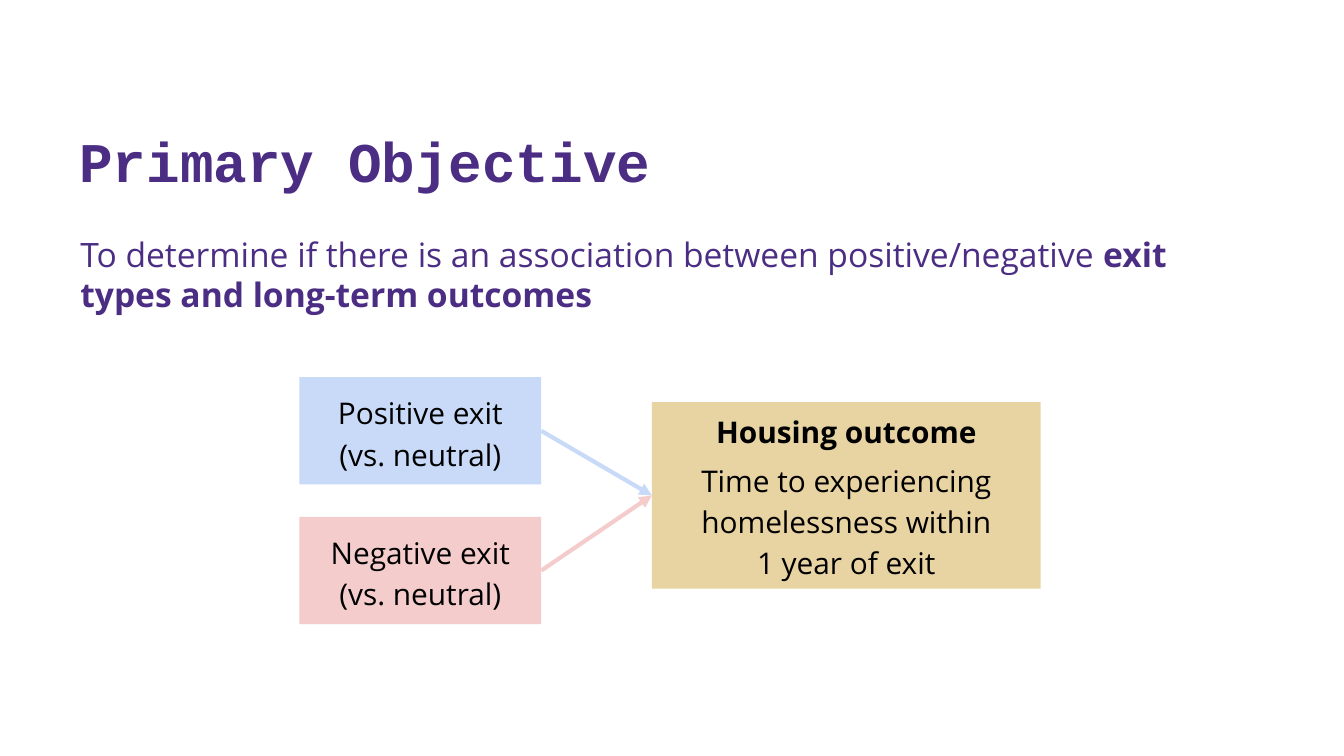
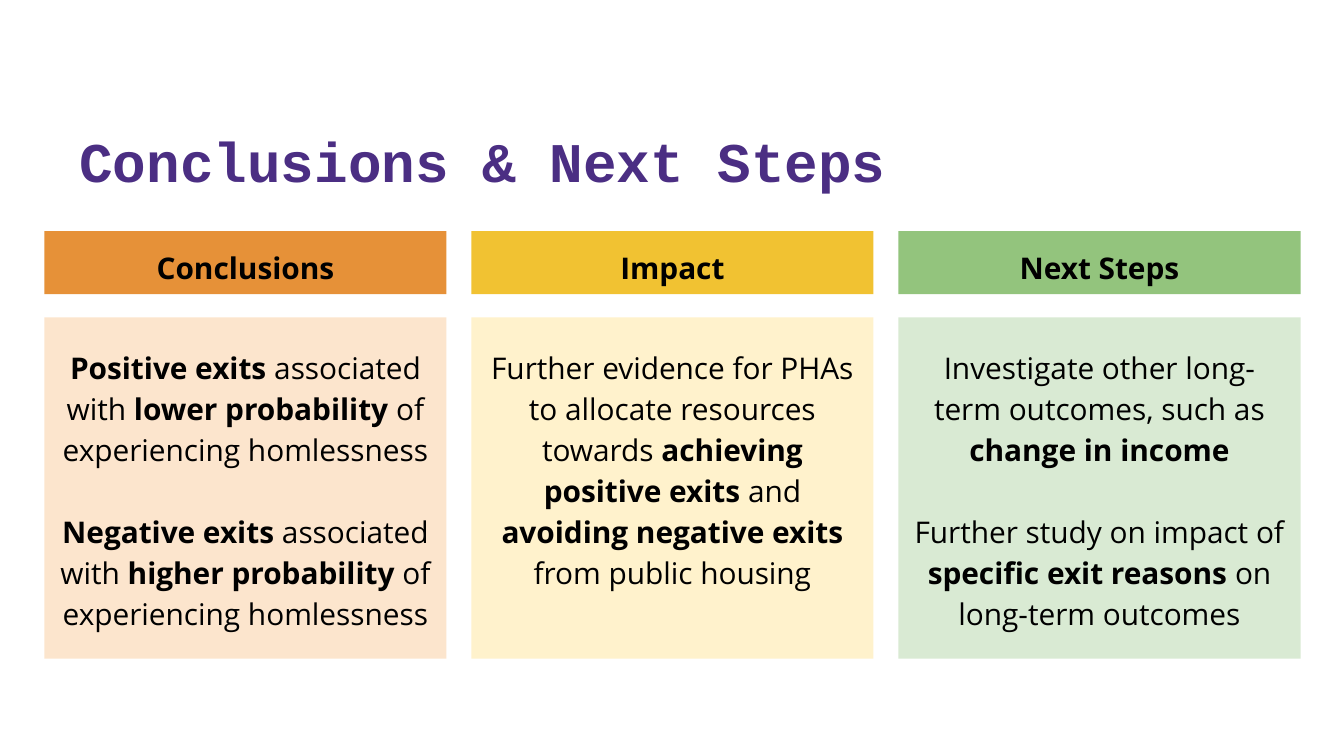
from lxml.etree import SubElement
from pptx import Presentation
from pptx.dml.color import RGBColor as RGB
from pptx.enum.shapes import MSO_CONNECTOR as LINK, MSO_SHAPE as SHAPE
from pptx.enum.text import MSO_ANCHOR as ANCHOR, PP_ALIGN as ALIGN
from pptx.oxml.ns import qn
from pptx.util import Cm, Pt

PURPLE = RGB(0x4B, 0x2E, 0x83)
BLACK = RGB(0x00, 0x00, 0x00)
GOLD = RGB(0xE8, 0xD3, 0xA2)
BLUE = RGB(0xC9, 0xDA, 0xF8)
PINK = RGB(0xF4, 0xCC, 0xCC)
ORANGE = RGB(0xE6, 0x91, 0x38)
PEACH = RGB(0xFC, 0xE5, 0xCD)
YELLOW = RGB(0xF1, 0xC2, 0x32)
CREAM = RGB(0xFF, 0xF2, 0xCC)
GREEN = RGB(0x93, 0xC4, 0x7D)
MINT = RGB(0xD9, 0xEA, 0xD3)
HEAD, BODY = "Courier New", "Open Sans"


def write(shape, lines, size=16, color=BLACK, face=BODY, gap=0):
    """Fill a shape with paragraphs; text between asterisks is bold."""
    frame = shape.text_frame
    frame.word_wrap = True
    for n, line in enumerate(lines):
        para = frame.add_paragraph() if n else frame.paragraphs[0]
        if n:
            para.space_before = Pt(gap)
        for i, part in enumerate(line.split("*")):
            for j, piece in enumerate(part.split("\n")):
                if j:
                    para.add_line_break()
                    mark = para._p.findall(qn("a:br"))[-1]
                    SubElement(mark, qn("a:rPr"), sz=str(size * 100))
                if piece:
                    run = para.add_run()
                    run.text = piece
                    font = run.font
                    font.name, font.size, font.bold = face, Pt(size), i % 2 == 1
                    font.color.rgb = color


def block(slide, x, y, w, h, fill, lines, anchor=ANCHOR.TOP, gap=0):
    """Add a filled rectangle with centred text."""
    rect = slide.shapes.add_shape(SHAPE.RECTANGLE, Cm(x), Cm(y), Cm(w), Cm(h))
    rect.shadow.inherit = False
    rect.fill.solid()
    rect.fill.fore_color.rgb = fill
    rect.line.fill.background()
    rect.text_frame.vertical_anchor = anchor
    write(rect, lines, gap=gap)
    for para in rect.text_frame.paragraphs:
        para.alignment = ALIGN.CENTER
        para.line_spacing = 1.15
    return rect


deck = Presentation()
deck.slide_width, deck.slide_height = Cm(25.4), Cm(14.29)

# Slides and their titles
slides = []
for name in ("Primary Objective", "Conclusions & Next Steps"):
    slide = deck.slides.add_slide(deck.slide_layouts[6])
    title = slide.shapes.add_textbox(Cm(1.25), Cm(1.02), Cm(22.76), Cm(2.77))
    title.text_frame.vertical_anchor = ANCHOR.BOTTOM
    write(title, [f"*{name}*"], 30, PURPLE, HEAD)
    slides.append(slide)
aim, end = slides

# Objective statement
goal = aim.shapes.add_textbox(Cm(1.27), Cm(4.29), Cm(22.76), Cm(2.03))
write(goal, ["To determine if there is an association between positive/negative "
             "*exit types and long-term outcomes*"], 18, PURPLE)

# Exit types leading to the housing outcome
house = block(aim, 12.32, 7.6, 7.35, 3.53, GOLD,
              ["*Housing outcome*",
               "Time to experiencing homelessness within\n1 year of exit"], gap=4)
for n, (kind, fill) in enumerate((("Positive", BLUE), ("Negative", PINK))):
    box = block(aim, 5.66, 7.13 + n * 2.64, 4.57, 2.03, fill,
                [f"{kind} exit (vs. neutral)"], ANCHOR.MIDDLE)
    arrow = aim.shapes.add_connector(LINK.STRAIGHT, 0, 0, 0, 0)
    arrow.begin_connect(box, 3)
    arrow.end_connect(house, 1)
    arrow.line.color.rgb = fill
    arrow.line.width = Pt(2.25)
    SubElement(arrow.line._get_or_add_ln(), qn("a:tailEnd"), type="triangle")
    SubElement(arrow._element.spPr, qn("a:effectLst"))

# Three columns: header and card
cols = [
    ("Conclusions", ORANGE, PEACH,
     ["*Positive exits *associated with *lower probability* of experiencing homlessness",
      "*Negative exits *associated with *higher probability* of experiencing homlessness"]),
    ("Impact", YELLOW, CREAM,
     ["Further evidence for PHAs to allocate resources towards "
      "*achieving positive exits *and* avoiding negative exits *from public housing"]),
    ("Next Steps", GREEN, MINT,
     ["Investigate other long-term outcomes, such as *change in income*",
      "Further study on impact of *specific exit reasons* on long-term outcomes"]),
]
for n, (name, dark, light, lines) in enumerate(cols):
    x = 0.84 + n * 8.07
    head = block(end, x, 4.37, 7.6, 1.19, dark, [f"*{name}*"])
    head.text_frame.margin_top = head.text_frame.margin_bottom = Cm(0.25)
    card = block(end, x, 6, 7.6, 6.45, light, lines, gap=22)
    card.text_frame.margin_top = Cm(0.5)

deck.save("out.pptx")
